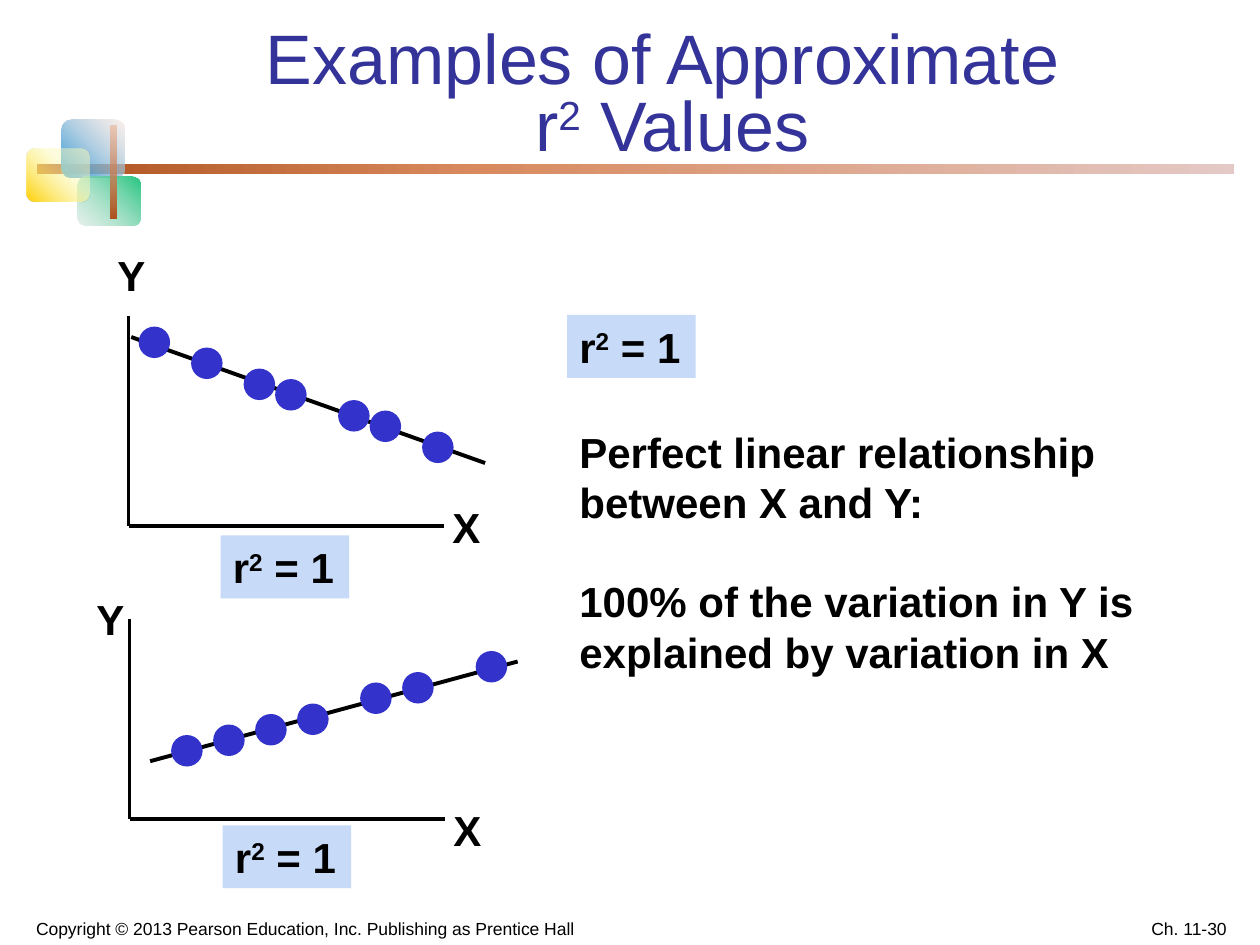
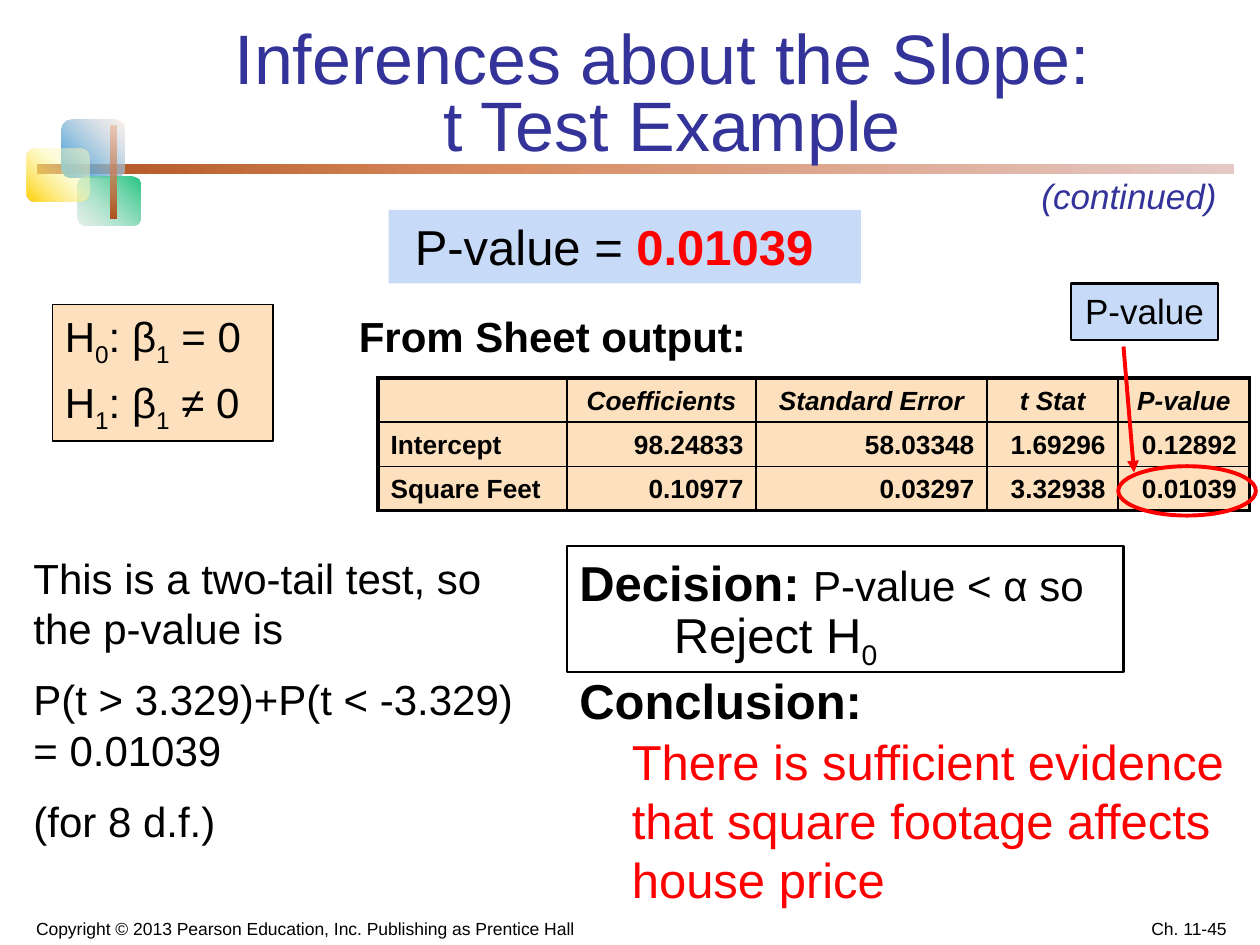
"""Builds two statistics slides on a grid of 120 columns by 90 rows."""
from dataclasses import dataclass
from typing import NamedTuple, Optional

import lxml.etree
import pptx
import pptx.dml.color
import pptx.enum.shapes
import pptx.enum.text
import pptx.oxml.ns
import pptx.util

RGBColor = pptx.dml.color.RGBColor
Pt = pptx.util.Pt
Kind = pptx.enum.shapes.MSO_SHAPE
Align = pptx.enum.text.PP_ALIGN
Anchor = pptx.enum.text.MSO_ANCHOR
qn = pptx.oxml.ns.qn

WIDE, HIGH = pptx.util.Inches(10), pptx.util.Inches(7.5)
COLS, ROWS = 120, 90
FONT = "Arial"
BLACK = RGBColor(0x00, 0x00, 0x00)
NAVY = RGBColor(0x33, 0x33, 0x99)
DOT = RGBColor(0x33, 0x33, 0xCC)
PALE = RGBColor(0xC7, 0xDA, 0xF7)
PEACH = RGBColor(0xFD, 0xE0, 0xBD)
RED = RGBColor(0xFF, 0x00, 0x00)
RUST = RGBColor(0xAE, 0x51, 0x1E)
CLAY = RGBColor(0xD8, 0x8A, 0x5E)
ROSE = RGBColor(0xE4, 0xC9, 0xC6)
SKY = RGBColor(0x28, 0x95, 0xD8)
CREAM = RGBColor(0xF7, 0xE2, 0xD9)
GREEN = RGBColor(0x25, 0xC5, 0x80)
MINT = RGBColor(0xCC, 0xE2, 0xD9)
GOLD = RGBColor(0xFF, 0xCF, 0x01)
LEMON = RGBColor(0xFC, 0xFC, 0xBC)
PEAR = RGBColor(0xEA, 0xA7, 0x82)


class Box(NamedTuple):
    left: float
    top: float
    width: float
    height: float


class Spot(NamedTuple):
    col: float
    row: float


class Run(NamedTuple):
    text: str
    size: float = 24
    color: RGBColor = BLACK
    bold: bool = False
    slant: bool = False
    base: int = 0


class Para(NamedTuple):
    runs: list[Run]
    align: Align = Align.LEFT
    before: float = 0
    lead: Optional[float] = None


class Stop(NamedTuple):
    place: int
    color: RGBColor
    alpha: int = 100


class Tile(NamedTuple):
    box: Box
    angle: int
    stops: list[Stop]


@dataclass
class Plot:
    """Holds one scatter sketch with its axes, trend and labels."""
    top: Spot
    base: Spot
    end: Spot
    trend: tuple[Spot, Spot]
    dots: list[Spot]
    y_mark: Spot
    x_mark: Spot
    tag: Spot


TILES = [
    Tile(Box(3.5, 15.6, 114, 1), 0, [Stop(0, RUST), Stop(37, CLAY), Stop(100, ROSE)]),
    Tile(Box(5.9, 11.4, 6, 5.5), 315, [Stop(0, SKY), Stop(100, CREAM, 50)]),
    Tile(Box(7.4, 16.8, 6, 4.7), 135, [Stop(0, GREEN), Stop(100, MINT, 50)]),
    Tile(Box(2.5, 14.2, 6, 5), 315, [Stop(0, GOLD), Stop(63, LEMON, 50)]),
    Tile(Box(10.5, 12, 0.6, 8.8), 270, [Stop(0, RUST), Stop(100, PEAR, 50)]),
]
PLOTS = [
    Plot(Spot(12.25, 30.1), Spot(12.25, 50.1), Spot(42.25, 50.1),
         (Spot(12.5, 32.1), Spot(46.2, 44.1)),
         [Spot(13.2, 31.1), Spot(18.2, 33.1), Spot(23.2, 35.1), Spot(26.2, 36.1),
          Spot(32.2, 38.1), Spot(35.2, 39.1), Spot(40.2, 41.1)],
         Spot(10, 23.2), Spot(41.9, 47.2), Spot(21, 51)),
    Plot(Spot(12.35, 59), Spot(12.35, 78), Spot(42.35, 78),
         (Spot(14.3, 72.5), Spot(49.3, 63)),
         [Spot(16.3, 70), Spot(20.3, 69), Spot(24.3, 68), Spot(28.3, 67),
          Spot(34.3, 65), Spot(38.3, 64), Spot(45.3, 62)],
         Spot(8, 55.9), Spot(42, 76), Spot(21.2, 78.6)),
]
GRID = [
    ["", "Coefficients", "Standard Error", "t Stat", "P-value"],
    ["Intercept", "98.24833", "58.03348", "1.69296", "0.12892"],
    ["Square Feet", "0.10977", "0.03297", "3.32938", "0.01039"],
]
SPANS = [18, 18, 22, 12.5, 12.5]
RISE = 4.2


def across(cols: float) -> int:
    """Turns grid columns into a length."""
    return round(WIDE * cols / COLS)


def down(rows: float) -> int:
    """Turns grid rows into a length."""
    return round(HIGH * rows / ROWS)


def place(box: Box) -> tuple[int, int, int, int]:
    """Turns a grid box into lengths."""
    return across(box.left), down(box.top), across(box.width), down(box.height)


def write(frame, paras: list[Para]) -> None:
    """Fills a text frame run by run."""
    for n, para in enumerate(paras):
        line = frame.paragraphs[0] if n == 0 else frame.add_paragraph()
        line.alignment = para.align
        if para.before:
            line.space_before = Pt(para.before)
        if para.lead:
            line.line_spacing = para.lead
        for item in para.runs:
            if item.text == "\n":
                line.add_line_break()
                continue
            run = line.add_run()
            run.text = item.text
            font = run.font
            font.name, font.size = FONT, Pt(item.size)
            font.bold, font.italic = item.bold, item.slant
            font.color.rgb = item.color
            if item.base:
                font.element.set("baseline", str(item.base * 1000)) if hasattr(
                    font, "element") else run.font._element.set("baseline", str(item.base * 1000))


def text(slide, box: Box, paras: list[Para], wrap: bool = True, anchor=Anchor.TOP):
    """Adds a text box."""
    item = slide.shapes.add_textbox(*place(box))
    item.text_frame.word_wrap = wrap
    item.text_frame.vertical_anchor = anchor
    write(item.text_frame, paras)
    return item


def shape(slide, kind: Kind, box: Box, fill: Optional[RGBColor] = None,
          edge: Optional[RGBColor] = None, weight: float = 1):
    """Adds a flat preset shape."""
    item = slide.shapes.add_shape(kind, *place(box))
    item.shadow.inherit = False
    if fill is None:
        item.fill.background()
    else:
        item.fill.solid()
        item.fill.fore_color.rgb = fill
    if edge is None:
        item.line.fill.background()
    else:
        item.line.color.rgb = edge
        item.line.width = Pt(weight)
    return item


def panel(slide, box: Box, paras: list[Para], fill: RGBColor,
          edge: Optional[RGBColor] = None, weight: float = 1, wrap: bool = True):
    """Adds a filled rectangle that holds text."""
    item = shape(slide, Kind.RECTANGLE, box, fill, edge, weight)
    item.text_frame.word_wrap = wrap
    item.text_frame.vertical_anchor = Anchor.TOP
    write(item.text_frame, paras)
    return item


def rule(slide, start: Spot, stop: Spot, color: RGBColor = BLACK,
         weight: float = 2, arrow: bool = False) -> None:
    """Adds a straight line, with an arrowhead if asked."""
    item = slide.shapes.add_connector(
        pptx.enum.shapes.MSO_CONNECTOR.STRAIGHT, across(start.col), down(start.row),
        across(stop.col), down(stop.row))
    item.line.color.rgb = color
    item.line.width = Pt(weight)
    props = item.element.spPr
    if arrow:
        lxml.etree.SubElement(props.find(qn("a:ln")), qn("a:tailEnd"), type="triangle")
    lxml.etree.SubElement(props, qn("a:effectLst"))


def blend(item, tile: Tile) -> None:
    """Gives a shape a gradient with its own stops."""
    old = item.element.spPr.find(qn("a:noFill"))
    grad = lxml.etree.Element(qn("a:gradFill"))
    stops = lxml.etree.SubElement(grad, qn("a:gsLst"))
    for stop in tile.stops:
        mark = lxml.etree.SubElement(stops, qn("a:gs"), pos=str(stop.place * 1000))
        color = lxml.etree.SubElement(mark, qn("a:srgbClr"), val=str(stop.color))
        lxml.etree.SubElement(color, qn("a:alpha"), val=str(stop.alpha * 1000))
    lxml.etree.SubElement(grad, qn("a:lin"), ang=str(tile.angle * 60000), scaled="0")
    item.element.spPr.replace(old, grad)


def start(deck, head: list[Run], page: str):
    """Adds a slide with the shared band, title and footer."""
    slide = deck.slides.add_slide(deck.slide_layouts[5])
    for tile in TILES:
        blend(shape(slide, Kind.ROUNDED_RECTANGLE, tile.box), tile)
    title = slide.shapes.title
    title.left, title.top, title.width, title.height = place(Box(13, 2.3, 102, 14))
    frame = title.text_frame
    frame.auto_size = pptx.enum.text.MSO_AUTO_SIZE.NONE
    frame.vertical_anchor = Anchor.BOTTOM
    write(frame, [Para(head, Align.CENTER, lead=0.8)])
    slide.shapes.element.append(title.element)
    credit = "Copyright © 2013 Pearson Education, Inc. Publishing as Prentice Hall"
    text(slide, Box(0, 85.8, 58.1, 4.2), [Para([Run(credit, 10)], Align.CENTER)],
         anchor=Anchor.BOTTOM)
    text(slide, Box(90, 85.8, 28, 4.2), [Para([Run(page, 10)], Align.RIGHT)],
         anchor=Anchor.BOTTOM)
    return slide


def tag(slide, spot: Spot) -> None:
    """Adds the box that states the value of r squared."""
    runs = [Run("r", bold=True), Run("2", bold=True, base=30), Run(" = 1", bold=True)]
    panel(slide, Box(*spot, 12.25, 6), [Para(runs)], PALE, wrap=False)


def sketch(slide, plot: Plot) -> None:
    """Draws one scatter sketch."""
    rule(slide, plot.top, plot.base)
    rule(slide, plot.base, plot.end)
    rule(slide, *plot.trend, weight=2.25)
    for dot in plot.dots:
        shape(slide, Kind.OVAL, Box(*dot, 3, 3), DOT)
    for name, spot in (("Y", plot.y_mark), ("X", plot.x_mark)):
        text(slide, Box(*spot, 5, 6), [Para([Run(name, bold=True)])], wrap=False)
    tag(slide, plot.tag)


def border(cell, sides: dict[str, float]) -> None:
    """Draws the sides of a cell, ahead of its fill."""
    props = cell._tc.get_or_add_tcPr()
    for n, (side, weight) in enumerate(sides.items()):
        line = lxml.etree.Element(qn(f"a:ln{side}"), w=str(Pt(weight)))
        fill = lxml.etree.SubElement(line, qn("a:solidFill"))
        lxml.etree.SubElement(fill, qn("a:srgbClr"), val=str(BLACK))
        props.insert(n, line)


def table(slide) -> None:
    """Adds the regression table."""
    last_row, last_col = len(GRID) - 1, len(SPANS) - 1
    box = Box(36, 36, sum(SPANS), RISE * len(GRID))
    grid = slide.shapes.add_table(len(GRID), len(SPANS), *place(box)).table
    for col, span in zip(grid.columns, SPANS):
        col.width = across(span)
    for r, row in enumerate(GRID):
        grid.rows[r].height = down(RISE)
        for c, word in enumerate(row):
            cell = grid.cell(r, c)
            cell.fill.solid()
            cell.fill.fore_color.rgb = PEACH
            cell.vertical_anchor = Anchor.BOTTOM
            cell.margin_top = 0
            align = Align.CENTER if r == 0 else Align.RIGHT if c else Align.LEFT
            runs = [Run(word, 15, bold=True, slant=r == 0)] if word else []
            write(cell.text_frame, [Para(runs, align)])
            outer = {"L": c == 0, "R": c == last_col, "T": r == 0, "B": r == last_row}
            border(cell, {side: 2.25 if out else 1 for side, out in outer.items()})


def fit(deck) -> None:
    """Builds the slide on values of r squared."""
    head = [Run("Examples of Approximate ", 40, NAVY), Run("\n"), Run("r", 40, NAVY),
            Run("2", 40, NAVY, base=30), Run(" Values", 40, NAVY)]
    slide = start(deck, head, "Ch. 11-30")
    for plot in PLOTS:
        sketch(slide, plot)
    tag(slide, Spot(54, 30))
    lines = ["Perfect linear relationship between X and Y:",
             "100% of the variation in Y is explained by variation in X"]
    text(slide, Box(54, 40, 58, 25),
         [Para([Run(line, bold=True)], before=28 * n) for n, line in enumerate(lines)])


def test(deck) -> None:
    """Builds the slide on the t test of the slope."""
    head = [Run("Inferences about the Slope: ", 40, NAVY), Run("\n"),
            Run("t Test Example", 40, NAVY)]
    slide = start(deck, head, "Ch. 11-45")
    claims = [Para([Run("H"), Run(sub, base=-25), Run(": β"), Run("1", base=-25),
                    Run(f" {sign} 0")], before=5 * n)
              for n, (sub, sign) in enumerate((("0", "="), ("1", "≠")))]
    panel(slide, Box(5, 29, 21, 13), claims, PEACH, BLACK)
    value = panel(slide, Box(37, 20, 45, 7),
                  [Para([Run("P-value =", 28), Run(" 0.01039", 28, RED, True)])], PALE)
    value.text_frame.margin_left = across(2.5)
    text(slide, Box(33, 29, 48, 6), [Para([Run("From Sheet output:", bold=True)])])
    table(slide)
    shape(slide, Kind.OVAL, Box(106.5, 44.4, 13.1, 4.7), edge=RED, weight=2.25)
    rule(slide, Spot(107, 33), Spot(108, 45), RED, 2.25, arrow=True)
    panel(slide, Box(102, 27, 14, 5.4), [Para([Run("P-value", 20)], Align.CENTER)],
          PALE, BLACK, 1.5)
    text(slide, Box(98, 16, 19.3, 5.2), [Para([Run("(continued)", 20, NAVY, slant=True)])],
         wrap=False)
    shape(slide, Kind.RECTANGLE, Box(54, 52, 53, 12), edge=BLACK, weight=1.5)
    text(slide, Box(54, 52, 60, 18.6), [
        Para([Run("Decision: ", 28, bold=True), Run("P-value < α so")]),
        Para([Run("Conclusion:", 28, bold=True)], before=14, lead=1.6)])
    text(slide, Box(63, 57, 52, 6.7), [Para([Run("Reject H", 28), Run("0", 28, base=-25)])])
    finding = "There is sufficient evidence that square footage affects house price"
    text(slide, Box(59, 69.1, 60, 18), [Para([Run(finding, 28, RED)])])
    steps = ["This is a two-tail test, so the p-value is",
             "P(t > 3.329)+P(t < -3.329) = 0.01039", "(for 8 d.f.)"]
    text(slide, Box(2, 52, 50, 30),
         [Para([Run(step)], before=12 if n else 0) for n, step in enumerate(steps)])


def main() -> None:
    """Builds and saves the deck."""
    deck = pptx.Presentation()
    deck.slide_width, deck.slide_height = WIDE, HIGH
    fit(deck)
    test(deck)
    deck.save("out.pptx")


if __name__ == "__main__":
    main()
